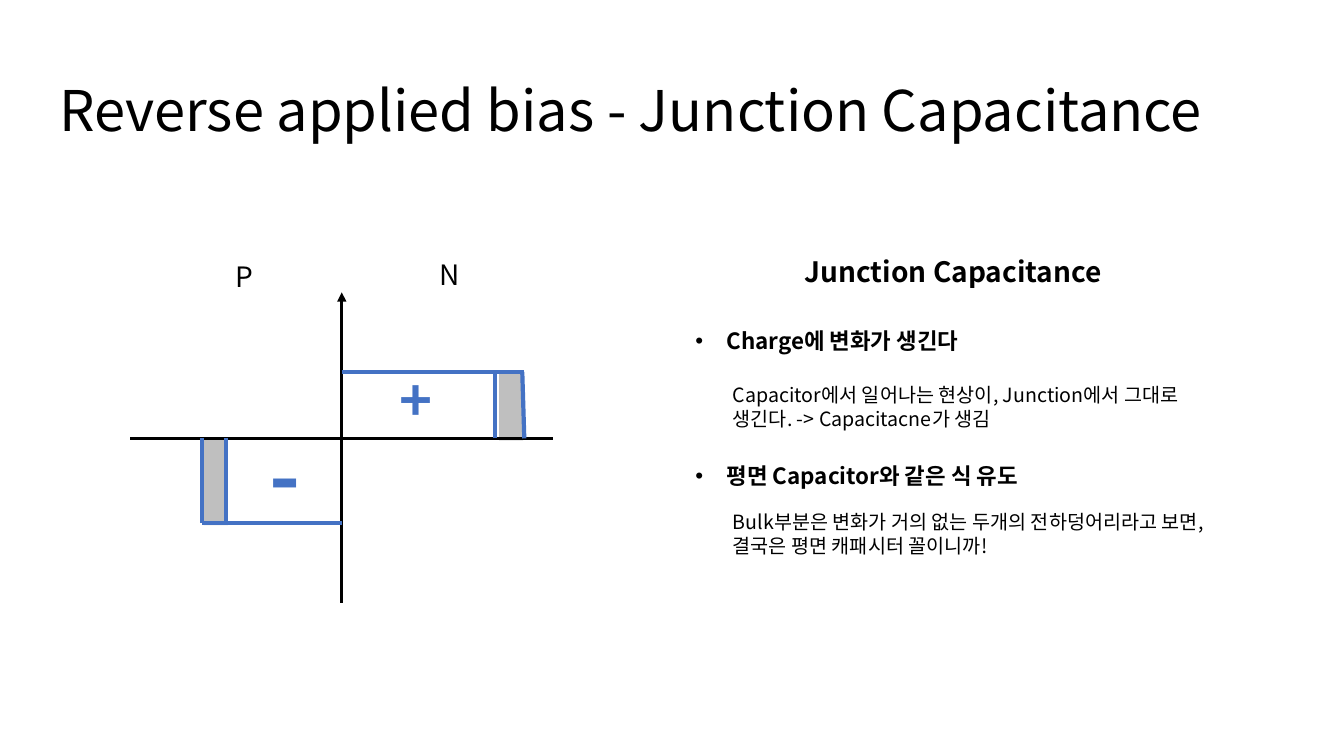
"""Build the junction capacitance slide."""
from dataclasses import dataclass

from lxml import etree
from pptx import Presentation
from pptx import util as u
from pptx.dml import color
from pptx.enum import shapes, text
from pptx.oxml import ns


@dataclass(frozen=True)
class Theme:
    font: str = "Noto Sans CJK KR"
    ink: str = "000000"
    accent: str = "4472C4"
    bulk: str = "BFBFBF"
    title: int = 40
    minus: int = 60
    heading: int = 20
    bullet: int = 16
    body: int = 14
    axis: float = 2.25
    charge: float = 3


THEME = Theme()


def rgb(value):
    return color.RGBColor.from_string(value)


def add_element(parent, tag, **attributes):
    return etree.SubElement(parent, ns.qn(tag), attributes)


def add_text(slide, box, lines, size, ink=THEME.ink, bold=False, bullet_gap=None, frame_format=None, **paragraph_format):
    shape = slide.shapes.add_textbox(*map(u.Inches, box))
    frame = shape.text_frame
    for name, value in {"word_wrap": True, **(frame_format or {})}.items():
        setattr(frame, name, value)
    for index, line in enumerate(lines):
        paragraph = frame.paragraphs[0] if index == 0 else frame.add_paragraph()
        for name, value in paragraph_format.items():
            setattr(paragraph, name, value)
        if bullet_gap is not None:
            if index:
                paragraph.space_before = u.Pt(bullet_gap)
            properties = paragraph._p.get_or_add_pPr()
            indent = u.Inches(0.31)
            properties.set("marL", str(indent))
            properties.set("indent", str(-indent))
            add_element(properties, "a:buFont", typeface="Arial")
            add_element(properties, "a:buChar", char="•")
        run = paragraph.add_run()
        run.text = line
        for name, value in {"name": THEME.font, "size": u.Pt(size), "bold": bold}.items():
            setattr(run.font, name, value)
        run.font.color.rgb = rgb(ink)
        add_element(run._r.get_or_add_rPr(), "a:ea", typeface=THEME.font)


def add_bulk(slide, box):
    shape = slide.shapes.add_shape(shapes.MSO_SHAPE.RECTANGLE, *map(u.Inches, box))
    shape.shadow.inherit = False
    shape.fill.solid()
    shape.fill.fore_color.rgb = rgb(THEME.bulk)
    shape.line.fill.background()


def add_line(slide, start, end, ink, width, arrow=False):
    connector = slide.shapes.add_connector(
        shapes.MSO_CONNECTOR.STRAIGHT, *map(u.Inches, (*start, *end)))
    connector.line.color.rgb = rgb(ink)
    connector.line.width = u.Pt(width)
    if arrow:
        add_element(connector.line._get_or_add_ln(), "a:tailEnd", type="triangle")
    add_element(connector._element.spPr, "a:effectLst")


def add_charge_diagram(slide):
    """Draw the depletion charge on both sides of the junction."""
    junction, axis, top, bottom = 3.39, 4.35, 3.69, 5.19
    add_bulk(slide, (2.02, axis, 0.24, 0.86))
    add_bulk(slide, (4.95, top, 0.24, 0.68))
    add_text(slide, (3.86, 3.58, 0.49, 0.77), ["+"], THEME.title, THEME.accent, True)
    add_text(slide, (2.57, 4.15, 0.49, 1.11), ["-"], THEME.minus, THEME.accent, True)
    add_line(slide, (1.29, axis), (5.48, axis), THEME.ink, THEME.axis)
    add_line(slide, (junction, 5.98), (junction, 2.9), THEME.ink, THEME.axis, True)
    charge_edges = [
        ((2, bottom), (junction, bottom)),
        ((2, bottom), (2, axis)),
        ((2.24, bottom), (2.24, axis)),
        ((junction, top), (5.2, top)),
        ((4.91, axis), (4.91, top)),
        ((5.2, axis), (5.18, top)),
    ]
    for start, end in charge_edges:
        add_line(slide, start, end, THEME.accent, THEME.charge)
    for label, left, label_top in (("P", 2.24, 2.53), ("N", 4.26, 2.51)):
        add_text(slide, (left, label_top, 0.38, 0.44), [label], THEME.heading)


def add_explanation(slide):
    add_text(slide, (6.67, 2.48, 5.57, 0.44), ["Junction Capacitance"],
             THEME.heading, bold=True, alignment=text.PP_ALIGN.CENTER)
    add_text(slide, (6.8, 3.2, 5.57, 2.26),
             ["Charge에 변화가 생긴다", "평면 Capacitor와 같은 식 유도"],
             THEME.bullet, bold=True, bullet_gap=77)
    details = [
        (3.75, "Capacitor에서 일어나는 현상이, Junction에서 그대로 생긴다. -> Capacitacne가 생김"),
        (5.01, "Bulk부분은 변화가 거의 없는 두개의 전하덩어리라고 보면, 결국은 평면 캐패시터 꼴이니까!"),
    ]
    for top, detail in details:
        add_text(slide, (7.17, top, 5.06, 0.57), [detail], THEME.body)


def main():
    presentation = Presentation()
    presentation.slide_width = u.Inches(13.33)
    presentation.slide_height = u.Inches(7.5)
    slide = presentation.slides.add_slide(presentation.slide_layouts[6])
    add_text(slide, (0.49, 0.4, 12.28, 1.45), ["Reverse applied bias - Junction Capacitance"],
             THEME.title, frame_format={"vertical_anchor": text.MSO_ANCHOR.MIDDLE}, line_spacing=0.9)
    add_charge_diagram(slide)
    add_explanation(slide)
    presentation.save("out.pptx")


if __name__ == "__main__":
    main()
